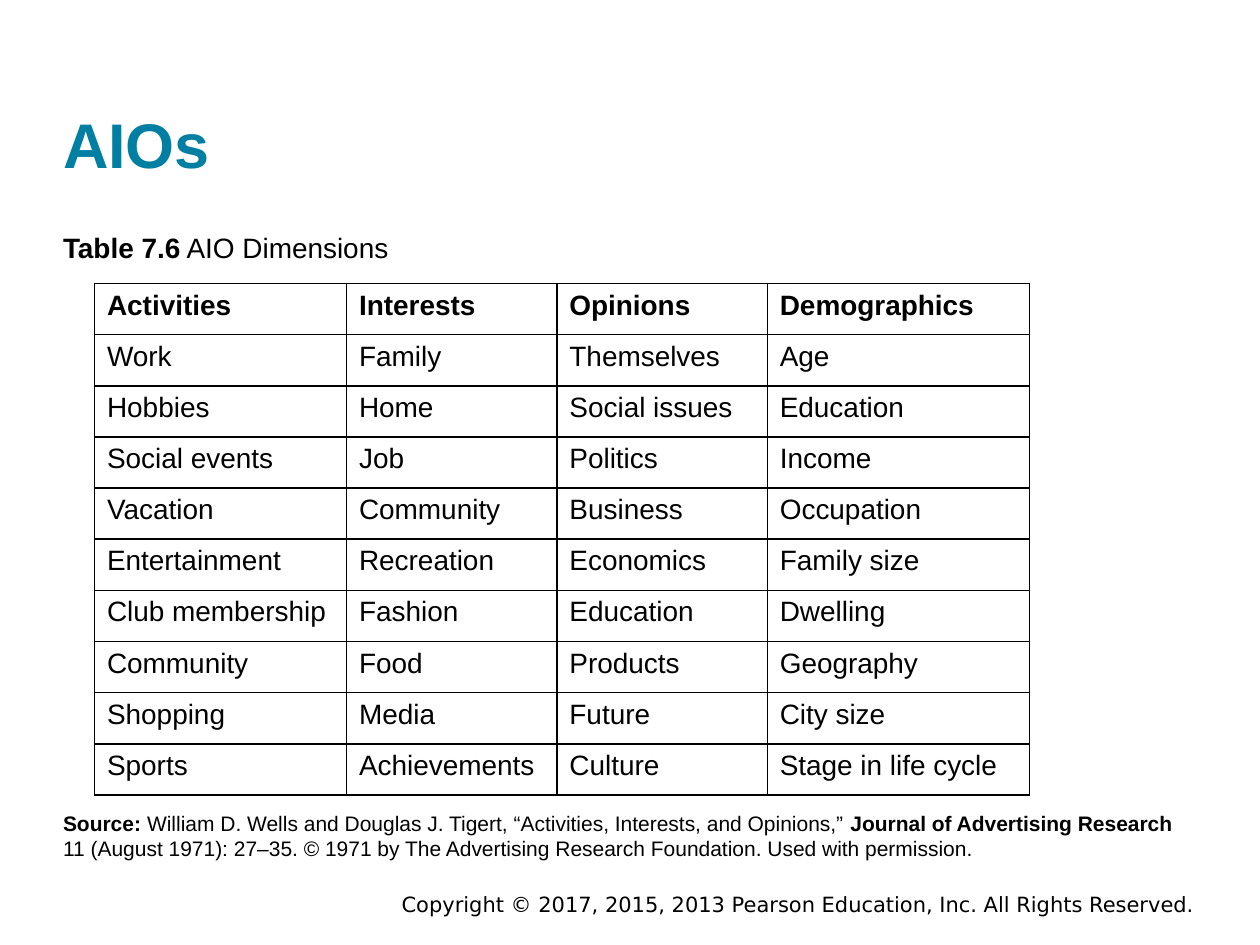
from lxml import etree
from pptx import Presentation
from pptx.dml.color import RGBColor
from pptx.enum import text
from pptx.oxml import ns
from pptx.util import Inches, Pt

BLACK = RGBColor(0x00, 0x00, 0x00)
TEAL = RGBColor(0x00, 0x7F, 0xA3)


def style(font, size, bold=None, color=BLACK, name="Arial"):
    font.name = name
    font.size = Pt(size)
    font.bold = bold
    font.color.rgb = color


def place(holder, left, top, width, height, anchor):
    holder.left, holder.top = Inches(left), Inches(top)
    holder.width, holder.height = Inches(width), Inches(height)
    frame = holder.text_frame
    frame.margin_left = frame.margin_top = frame.margin_right = frame.margin_bottom = 0
    frame.vertical_anchor = anchor
    frame.auto_size = text.MSO_AUTO_SIZE.NONE
    frame.word_wrap = True
    paragraph = frame.paragraphs[0]
    paragraph.alignment = text.PP_ALIGN.LEFT
    paragraph.space_before = Pt(0)
    return paragraph


prs = Presentation()
prs.slide_width, prs.slide_height = Inches(10), Inches(7.5)
slide = prs.slides.add_slide(prs.slide_layouts[3])
title_holder, caption_holder, source_holder = slide.placeholders

copyright_box = slide.shapes.add_textbox(Inches(2.83), Inches(7.03), Inches(6.75), Inches(0.3))
copyright_box.text_frame.word_wrap = True
copyright_line = copyright_box.text_frame.paragraphs[0]
copyright_line.text = "Copyright © 2017, 2015, 2013 Pearson Education, Inc. All Rights Reserved."
copyright_line.alignment = text.PP_ALIGN.RIGHT
style(copyright_line.font, 12, name="DejaVu Sans")

title = place(title_holder, 0.5, 0.24, 9, 1.2, text.MSO_ANCHOR.BOTTOM)
title.text = "AIOs"
style(title.font, 36, True, TEAL)

notes = [
    (caption_holder, 1.83, 0.25, 16, [("Table 7.6", True), (" AIO Dimensions", False)]),
    (source_holder, 6.43, 0.42, 12, [
        ("Source: ", True),
        ("William D. Wells and Douglas J. Tigert, “Activities, Interests, and Opinions,” ", False),
        ("Journal of Advertising Research\v", True),
        ("11 (August 1971): 27–35. © 1971 by The Advertising Research Foundation. "
         "Used with permission.", False),
    ]),
]
for holder, top, height, size, pieces in notes:
    line = place(holder, 0.5, top, 9, height, text.MSO_ANCHOR.TOP)
    properties = line._p.get_or_add_pPr()
    properties.set("marL", "0")
    properties.set("indent", "0")
    etree.SubElement(properties, ns.qn("a:buNone"))
    style(line.font, size)
    for words, bold in pieces:
        run = line.add_run()
        run.text = words.rstrip("\v")
        style(run.font, size, bold)
        if words.endswith("\v"):
            line.add_line_break()

dimensions = [
    ("Activities", "Interests", "Opinions", "Demographics"),
    ("Work", "Family", "Themselves", "Age"),
    ("Hobbies", "Home", "Social issues", "Education"),
    ("Social events", "Job", "Politics", "Income"),
    ("Vacation", "Community", "Business", "Occupation"),
    ("Entertainment", "Recreation", "Economics", "Family size"),
    ("Club membership", "Fashion", "Education", "Dwelling"),
    ("Community", "Food", "Products", "Geography"),
    ("Shopping", "Media", "Future", "City size"),
    ("Sports", "Achievements", "Culture", "Stage in life cycle"),
]
column_widths = [2, 1.67, 1.67, 2.08]
table = slide.shapes.add_table(
    len(dimensions), len(column_widths),
    Inches(0.75), Inches(2.25), Inches(sum(column_widths)), Inches(4.06)).table
table.horz_banding = False
for column, width in zip(table.columns, column_widths):
    column.width = Inches(width)

for row, entries in enumerate(dimensions):
    for col, entry in enumerate(entries):
        cell = table.cell(row, col)
        cell.text = entry
        style(cell.text_frame.paragraphs[0].font, 16, row == 0)
        cell_properties = cell._tc.get_or_add_tcPr()
        for side in ("lnL", "lnR", "lnT", "lnB"):
            border = etree.SubElement(cell_properties, ns.qn(f"a:{side}"), w=str(Pt(1)))
            fill = etree.SubElement(border, ns.qn("a:solidFill"))
            etree.SubElement(fill, ns.qn("a:srgbClr"), val=str(BLACK))
        cell.fill.background()

prs.save("out.pptx")
